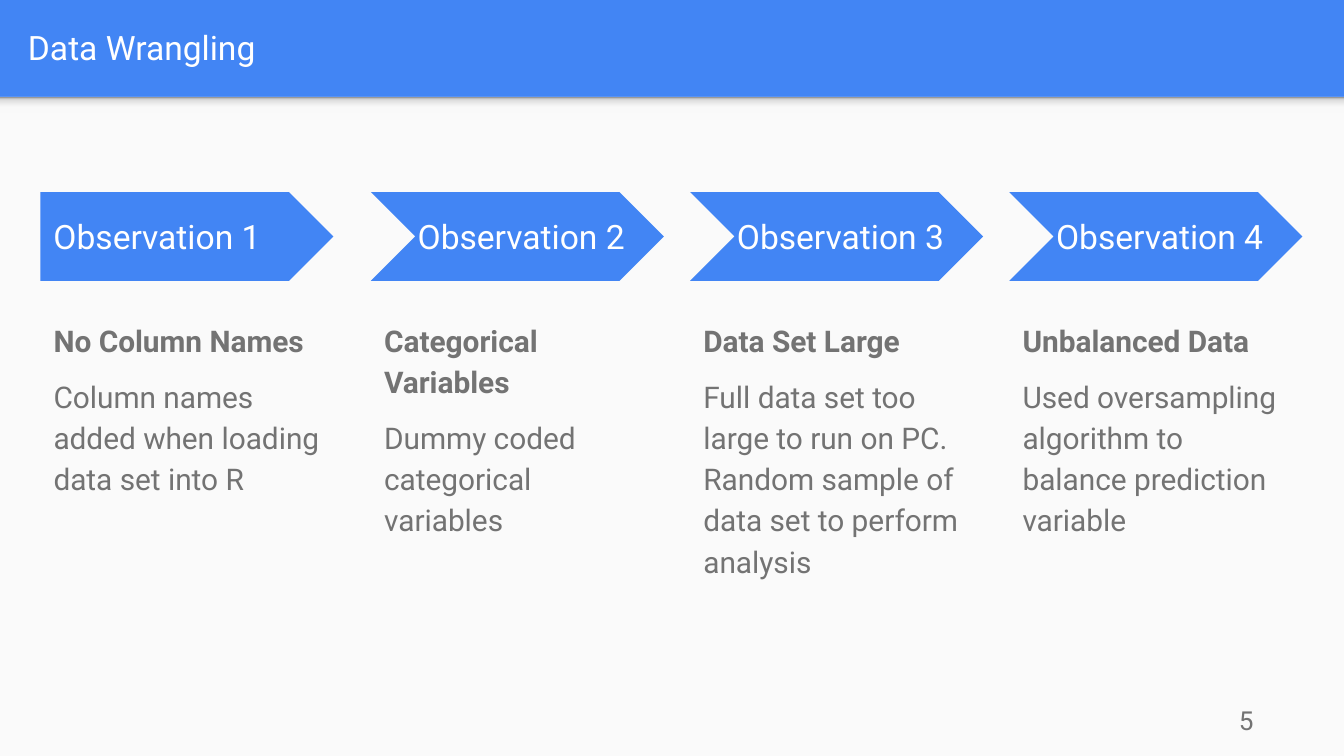
from copy import deepcopy

from pptx import Presentation
from pptx import util as u
from pptx.dml.color import RGBColor
from pptx.enum import shapes, text

COLORS = {"blue": "4285F4", "paper": "FAFAFA", "white": "FFFFFF", "gray": "737373"}
SHADOW = [(0, "F9F9F9"), (0.36, "F9F9F9"), (0.8, "DEDEDE"), (1, "999999")]
OBSERVATIONS = [
    ("No Column Names", "Column names added when loading data set into R"),
    ("Categorical Variables", "Dummy coded categorical variables"),
    ("Data Set Large", "Full data set too large to run on PC. "
                       "Random sample of data set to perform analysis"),
    ("Unbalanced Data", "Used oversampling algorithm to balance prediction variable"),
]

prs = Presentation()
prs.slide_width, prs.slide_height = u.Inches(10), u.Inches(5.625)
s = prs.slides.add_slide(prs.slide_layouts[6])
s.background.fill.solid()
s.background.fill.fore_color.rgb = RGBColor.from_string(COLORS["blue"])


def add_block(kind, box, color):
    sp = s.shapes.add_shape(kind, *map(u.Inches, box))
    sp.shadow.inherit = False
    sp.line.fill.background()
    sp.fill.solid()
    sp.fill.fore_color.rgb = RGBColor.from_string(COLORS[color])
    return sp


def add_text(paragraphs, box, size, color, anchor=text.MSO_ANCHOR.MIDDLE,
             bold_first=False, spacing=None, after=None):
    tf = s.shapes.add_textbox(*map(u.Inches, box)).text_frame
    tf.word_wrap = True
    tf.vertical_anchor = anchor
    tf.margin_left = tf.margin_right = tf.margin_top = tf.margin_bottom = u.Inches(0.1)
    for i, line in enumerate(paragraphs):
        p = tf.paragraphs[0] if i == 0 else tf.add_paragraph()
        p.line_spacing = spacing
        p.space_after = after
        r = p.add_run()
        r.text = line
        r.font.name = "Roboto"
        r.font.size = u.Pt(size)
        r.font.bold = bold_first and i == 0
        r.font.color.rgb = RGBColor.from_string(COLORS[color])


header = 0.72
add_block(shapes.MSO_SHAPE.RECTANGLE, (0, header, 10, 5.625 - header), "paper")
sp = add_block(shapes.MSO_SHAPE.RECTANGLE, (0, header, 10, 0.12), "paper")
sp.fill.gradient()
sp.fill.gradient_angle = 90
stops = sp.fill._fill._gradFill.gsLst
for _ in SHADOW[2:]:
    stops.append(deepcopy(stops[0]))
for stop, (position, color) in zip(sp.fill.gradient_stops, SHADOW):
    stop.position = position
    stop.color.rgb = RGBColor.from_string(color)

add_text(["Data Wrangling"], (0.11, 0.02, 9.65, 0.66), 18, "white")

arrow_top, arrow_w, arrow_h = 1.43, 2.18, 0.66
for i, paragraphs in enumerate(OBSERVATIONS):
    if i == 0:
        left, indent, kind = 0.3, 0, shapes.MSO_SHAPE.PENTAGON
    else:
        left, indent, kind = 2.76 + 2.375 * (i - 1), 0.25, shapes.MSO_SHAPE.CHEVRON
    sp = add_block(kind, (left, arrow_top, arrow_w, arrow_h), "blue")
    sp.adjustments[0] = 0.5
    add_text([f"Observation {i + 1}"], (left + indent, 1.59, 2, 0.34), 18, "white")
    add_text(paragraphs, (left, 2.26, 2.19, 2.9), 16, "gray",
             anchor=text.MSO_ANCHOR.TOP, bold_first=True, spacing=1.15, after=u.Pt(8))

add_text(["5"], (9.12, 5.14, 0.6, 0.43), 14, "gray")

prs.save("out.pptx")
